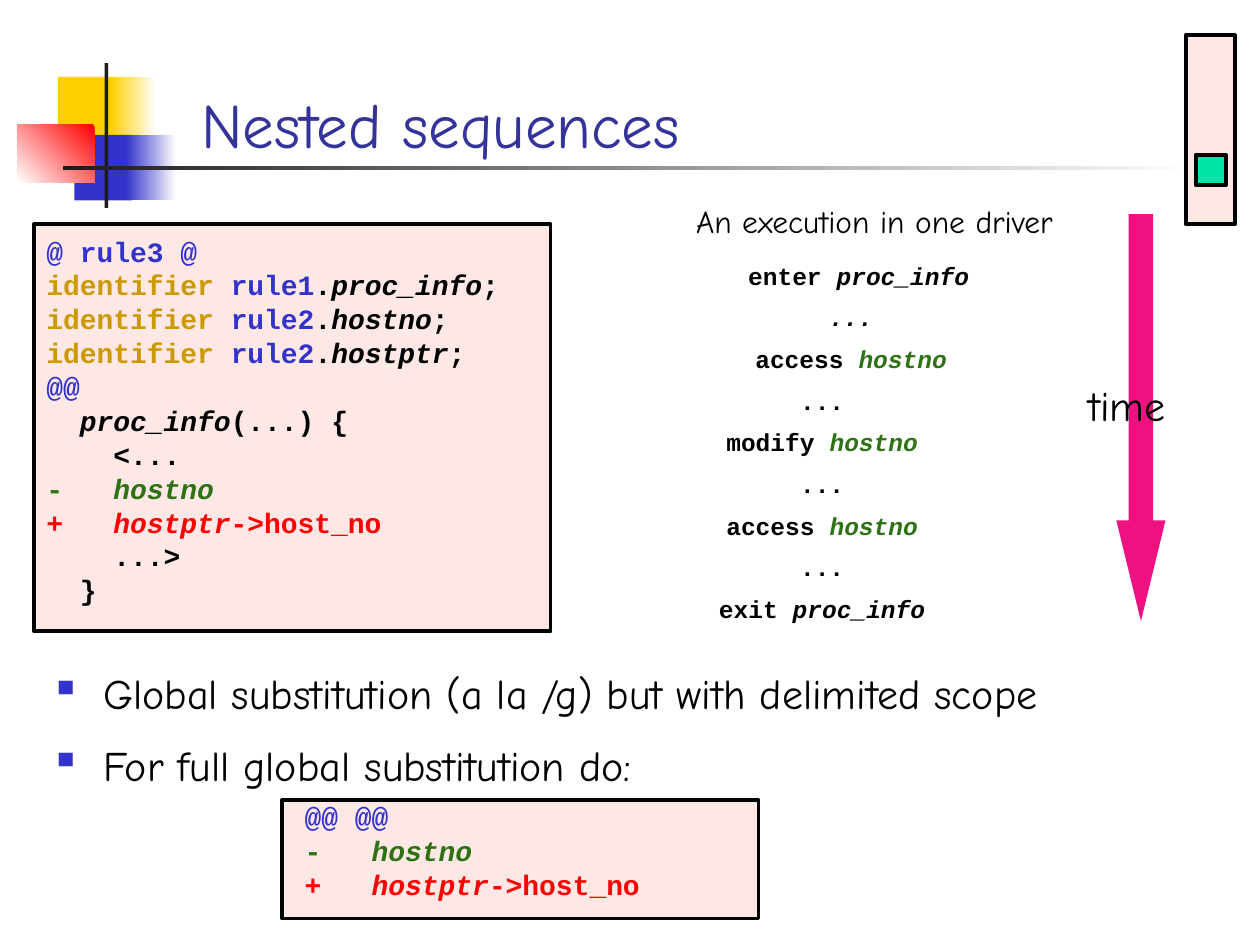
import dataclasses
import pptx
import pptx.util
import pptx.dml.color
import pptx.enum.shapes
import pptx.enum.text
import lxml.etree

Pt = pptx.util.Pt
SHAPE = pptx.enum.shapes.MSO_SHAPE
ALIGN = pptx.enum.text.PP_ALIGN
ANCHOR = pptx.enum.text.MSO_ANCHOR
COLS, ROWS = 100, 75
WIDE, HIGH = pptx.util.Inches(10), pptx.util.Inches(7.5)


@dataclasses.dataclass(frozen=True)
class Theme:
    hand: str = "Comic Neue"
    mono: str = "Courier New"
    black: str = "000000"
    white: str = "FFFFFF"
    dark: str = "1C1C1C"
    blue: str = "3333CC"
    navy: str = "333399"
    gold: str = "FFCF01"
    ochre: str = "CC9900"
    red: str = "FF0000"
    green: str = "2F7115"
    mint: str = "00E4A8"
    pink: str = "EF1180"
    blush: str = "FEE8E6"
    title: int = 36
    body: int = 24
    label: int = 18
    code: int = 16
    trace: int = 14
    edge: float = 2.25


T = Theme()


def tint(code):
    return pptx.dml.color.RGBColor.from_string(code)


def cells(x, y, w, h):
    return [int(n) for n in
            (x * WIDE / COLS, y * HIGH / ROWS, w * WIDE / COLS, h * HIGH / ROWS)]


def block(slide, area, fill, edge=False, kind=SHAPE.RECTANGLE):
    shape = slide.shapes.add_shape(kind, *cells(*area))
    shape.shadow.inherit = False
    shape.fill.solid()
    shape.fill.fore_color.rgb = tint(fill)
    if edge:
        shape.line.color.rgb = tint(T.black)
        shape.line.width = Pt(T.edge)
    else:
        shape.line.fill.background()
    return shape


def fade(slide, area, start, end, angle=180):
    shape = block(slide, area, start)
    shape.fill.gradient()
    shape.fill.gradient_angle = angle
    for stop, code, spot in zip(shape.fill.gradient_stops, (start, end), (0, 1)):
        stop.color.rgb = tint(code)
        stop.position = spot


def frame(slide, area, anchor=ANCHOR.TOP):
    text = slide.shapes.add_textbox(*cells(*area)).text_frame
    text.word_wrap = True
    text.vertical_anchor = anchor
    return text


def line(text, runs, font, size, gap=0, hang=0, align=ALIGN.LEFT,
         tight=None, bold=False, mark=None, right=0):
    first = not text.paragraphs[0].runs
    para = text.paragraphs[0] if first else text.add_paragraph()
    para.alignment = align
    para.line_spacing = tight
    para.space_before = Pt(0 if first else gap)
    props = para._p.get_or_add_pPr()
    if hang:
        props.set("marL", str(pptx.util.Inches(hang)))
        props.set("indent", str(-pptx.util.Inches(hang)))
    if right:
        props.set("marR", str(pptx.util.Inches(right)))
    if mark:
        space = pptx.oxml.ns.qn("a:buClr")
        color = lxml.etree.SubElement(props, space)
        lxml.etree.SubElement(color, pptx.oxml.ns.qn("a:srgbClr"), val=T.blue)
        lxml.etree.SubElement(props, pptx.oxml.ns.qn("a:buChar"), char=mark)
    for words, color, slant in runs:
        run = para.add_run()
        run.text = words
        run.font.name = font
        run.font.size = Pt(size)
        run.font.bold = bold
        run.font.italic = slant
        run.font.color.rgb = tint(color)


def plain(words, color=T.black):
    return (words, color, False)


def slant(words, color=T.black):
    return (words, color, True)


def code(slide, area, rows):
    text = frame(slide, area)
    for runs in rows:
        line(text, runs, T.mono, T.code, gap=4, hang=0.37, tight=0.8, bold=True)


def trace(slide, area, rows):
    text = frame(slide, area)
    for runs, right in rows:
        line(text, runs, T.mono, T.trace, gap=7, hang=0.42,
             align=ALIGN.CENTER, bold=True, right=right)


def note(slide, area, words, size, color=T.black, align=ALIGN.LEFT,
         anchor=ANCHOR.TOP):
    line(frame(slide, area, anchor), [plain(words, color)], T.hand, size,
         align=align)


def points(slide, area, items):
    text = frame(slide, area)
    for item in items:
        line(text, [plain(item)], T.hand, T.body, gap=12, hang=0.42, mark="▪")


def motif(slide):
    block(slide, (4.6, 6.1, 4.8, 5.2), T.gold)
    fade(slide, (8.8, 6.1, 3.6, 5.2), T.white, T.gold)
    block(slide, (5.9, 10.7, 4.6, 5.2), T.blue)
    fade(slide, (10, 10.7, 4, 5.2), T.white, T.blue)
    fade(slide, (1.4, 9.9, 6.1, 4.6), T.red, T.white, 225)
    block(slide, (8.3, 5, 0.3, 11.5), T.dark)
    fade(slide, (5, 13.2, 90, 0.3), T.white, T.dark)


def main():
    deck = pptx.Presentation()
    deck.slide_width, deck.slide_height = WIDE, HIGH
    slide = deck.slides.add_slide(deck.slide_layouts[6])
    motif(slide)
    for area in ((22.4, 63.5, 37.8, 9.4), (2.7, 17.8, 41, 32.3),
                 (94.1, 2.8, 3.9, 15)):
        block(slide, area, T.blush, True)
    block(slide, (94.9, 12.3, 2.4, 2.4), T.mint, True)
    arrow = block(slide, (88.6, 17, 3.9, 32.3), T.pink, kind=SHAPE.DOWN_ARROW)
    arrow.adjustments[0], arrow.adjustments[1] = 0.5, 2.05

    note(slide, (15, 0.8, 85.2, 12.5), "Nested sequences", T.title, T.navy,
         anchor=ANCHOR.BOTTOM)
    note(slide, (85.4, 29.6, 9.4, 4.9), "time", T.body)
    note(slide, (52.2, 15.5, 34.4, 3.9), "An execution in one driver", T.label,
         align=ALIGN.CENTER)

    swap = [[plain("-   ", T.green), slant("hostno", T.green)],
            [plain("+   ", T.red), slant("hostptr", T.red),
             plain("->host_no", T.red)]]
    heads = [[plain("identifier ", T.ochre), plain(rule, T.blue), plain("."),
              slant(name), plain(";")]
             for rule, name in (("rule1", "proc_info"), ("rule2", "hostno"),
                                ("rule2", "hostptr"))]
    code(slide, (2.7, 18.6, 50.4, 31.5), [
        [plain("@ rule3 @", T.blue)], *heads, [plain("@@", T.blue)],
        [plain("  "), slant("proc_info"), plain("(...) {")],
        [plain("    <...")], *swap, [plain("    ...>")], [plain("  }")]])
    code(slide, (23.2, 63.5, 50.4, 8.7), [[plain("@@ @@", T.blue)], *swap])

    steps = [("enter ", "proc_info", T.black), ("access ", "hostno", T.green),
             ("modify ", "hostno", T.green), ("access ", "hostno", T.green),
             ("exit ", "proc_info", T.black)]
    dots = [([slant("...")], 0.12), ([plain("...")], 0.58),
            ([plain("...")], 0), ([plain("...")], 0)]
    rows = []
    for spot, (verb, name, color) in enumerate(steps):
        rows.append(([plain(verb), slant(name, color)], 0))
        rows += dots[spot:spot + 1]
    trace(slide, (54.2, 20.2, 27.9, 28.6), rows)
    points(slide, (3, 52.5, 92, 10.4), [
        "Global substitution (a la /g) but with delimited scope",
        "For full global substitution do:"])
    deck.save("out.pptx")


if __name__ == "__main__":
    main()
